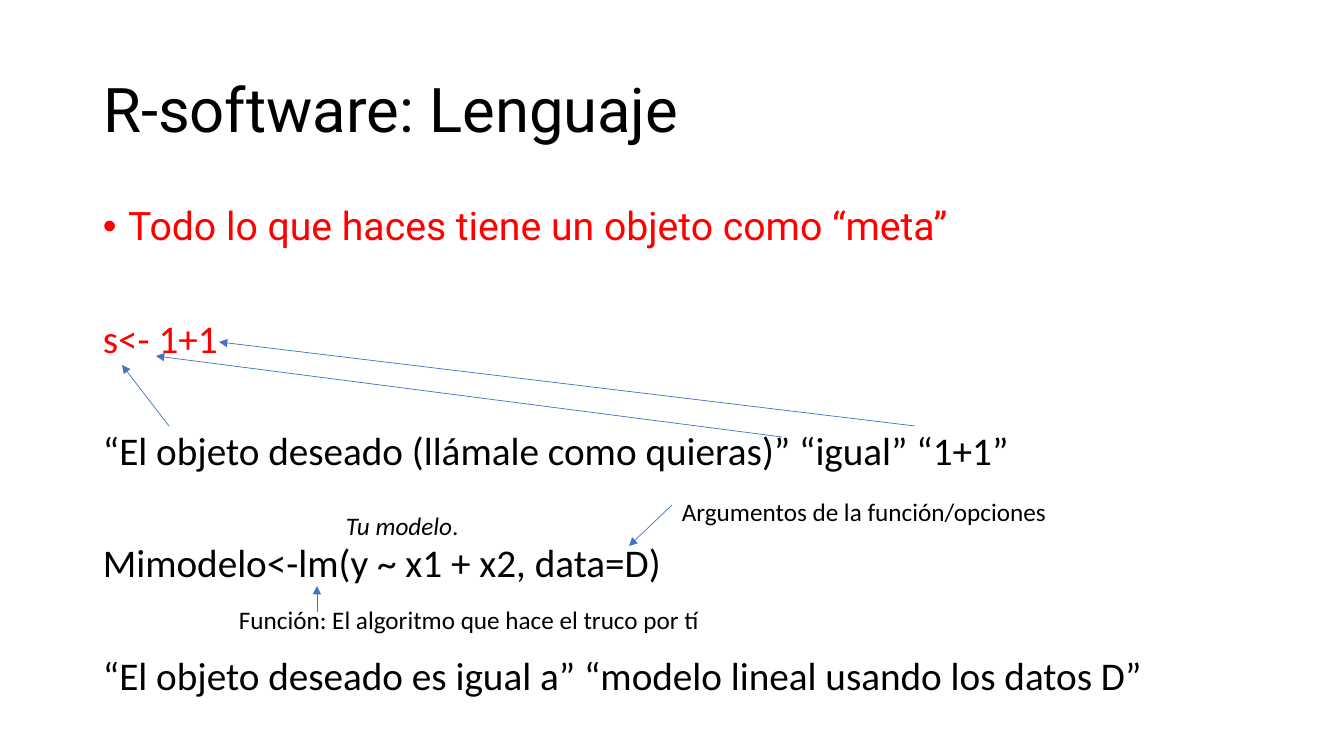
import pptx
import pptx.enum.shapes
import pptx.enum.text
import pptx.dml.color
import pptx.oxml
import pptx.oxml.ns
import pptx.util

EMU_PER_PX = 914400 / 100.8
COLORS = {"text": "000000", "accent": "FF0000", "arrow": "4472C4"}
STATEMENTS = [
    ("s<- 1+1", "accent"),
    ("“El objeto deseado (llámale como quieras)” “igual” “1+1”", "text"),
    ("Mimodelo<-lm(y ~ x1 + x2, data=D)", "text"),
    ("“El objeto deseado es igual a” “modelo lineal usando los datos D”", "text"),
]
LABELS = [
    ((229, 599, 687, 40), [("Función: El algoritmo que hace el truco por tí", False)], True),
    ((336, 505, 237, 40), [("Tu modelo", True), (".", False)], True),
    ((672, 491, 389, 40), [("Argumentos de la función/opciones", False)], False),
]
ARROWS = [
    (169, 426, 122, 365),
    (782, 437, 156, 356),
    (915, 426, 219, 342),
    (317, 612, 317, 586),
    (672, 505, 629, 546),
]


def px(*lengths):
    """Turn pixel lengths into EMU."""
    return [pptx.util.Emu(round(length * EMU_PER_PX)) for length in lengths]


def rgb(name):
    """Return the named colour."""
    return pptx.dml.color.RGBColor.from_string(COLORS[name])


def apply(target, values):
    """Set each attribute in a dict on the target."""
    for name, value in values.items():
        setattr(target, name, value)


def add_run(paragraph, text, size, font, color="text", italic=False):
    """Add a formatted run to a paragraph."""
    run = paragraph.add_run()
    run.text = text
    apply(run.font, {"size": pptx.util.Pt(size), "name": font, "italic": italic})
    run.font.color.rgb = rgb(color)


def add_text_box(slide, box, wrap=True):
    """Add a text box and return its text frame."""
    frame = slide.shapes.add_textbox(*px(*box)).text_frame
    frame.word_wrap = wrap
    return frame


def set_title(slide, box, text):
    """Place and format the title placeholder."""
    title = slide.shapes.title
    apply(title, dict(zip(("left", "top", "width", "height"), px(*box))))
    apply(title.text_frame, {
        "vertical_anchor": pptx.enum.text.MSO_ANCHOR.MIDDLE,
        "auto_size": pptx.enum.text.MSO_AUTO_SIZE.NONE,
        "word_wrap": True,
    })
    heading = title.text_frame.paragraphs[0]
    apply(heading, {"alignment": pptx.enum.text.PP_ALIGN.LEFT, "line_spacing": 0.9})
    add_run(heading, text, 44, "Roboto")


def add_bullet(paragraph):
    """Give a paragraph a hanging bullet."""
    properties = paragraph._p.get_or_add_pPr()
    indent = pptx.util.Inches(0.25)
    properties.set("marL", str(indent))
    properties.set("indent", str(-indent))
    for tag, key, value in (("buFont", "typeface", "Arial"), ("buChar", "char", "•")):
        element = pptx.oxml.parse_xml(f'<a:{tag} {pptx.oxml.ns.nsdecls("a")} {key}="{value}"/>')
        properties.append(element)


def add_body(slide, box, goal, statements):
    """Add the bulleted goal and the evenly spaced statements."""
    frame = add_text_box(slide, box)
    bullet = frame.paragraphs[0]
    apply(bullet, {"line_spacing": 0.9, "space_before": pptx.util.Pt(10)})
    add_bullet(bullet)
    add_run(bullet, goal, 28, "Roboto", "accent")
    for text, color in statements:
        statement = frame.add_paragraph()
        apply(statement, {"line_spacing": 0.9, "space_before": pptx.util.Pt(50)})
        add_run(statement, text, 28, "Calibri", color)


def add_label(slide, box, parts, wrap):
    """Add a small explanatory label."""
    frame = add_text_box(slide, box, wrap)
    frame.auto_size = pptx.enum.text.MSO_AUTO_SIZE.SHAPE_TO_FIT_TEXT
    for text, italic in parts:
        add_run(frame.paragraphs[0], text, 18, "Calibri", italic=italic)


def add_arrow(slide, ends):
    """Add a thin arrow pointing at its second end."""
    arrow = slide.shapes.add_connector(pptx.enum.shapes.MSO_CONNECTOR.STRAIGHT, *px(*ends))
    arrow.line.width = pptx.util.Pt(0.5)
    arrow.line.color.rgb = rgb("arrow")
    namespace = pptx.oxml.ns.nsdecls("a")
    outline = arrow.line._get_or_add_ln()
    outline.append(pptx.oxml.parse_xml(f'<a:tailEnd {namespace} type="triangle"/>'))
    arrow._element.spPr.append(pptx.oxml.parse_xml(f"<a:effectLst {namespace}/>"))


def main():
    """Build and save the slide."""
    deck = pptx.Presentation()
    deck.slide_width, deck.slide_height = px(1344, 756)
    slide = deck.slides.add_slide(deck.slide_layouts.get_by_name("Title Only"))
    set_title(slide, (93, 40, 1159, 146), "R-software: Lenguaje")
    add_body(slide, (93, 202, 1159, 522), "Todo lo que haces tiene un objeto como “meta”", STATEMENTS)
    for ends in ARROWS:
        add_arrow(slide, ends)
    for box, parts, wrap in LABELS:
        add_label(slide, box, parts, wrap)
    deck.save("out.pptx")


main()
